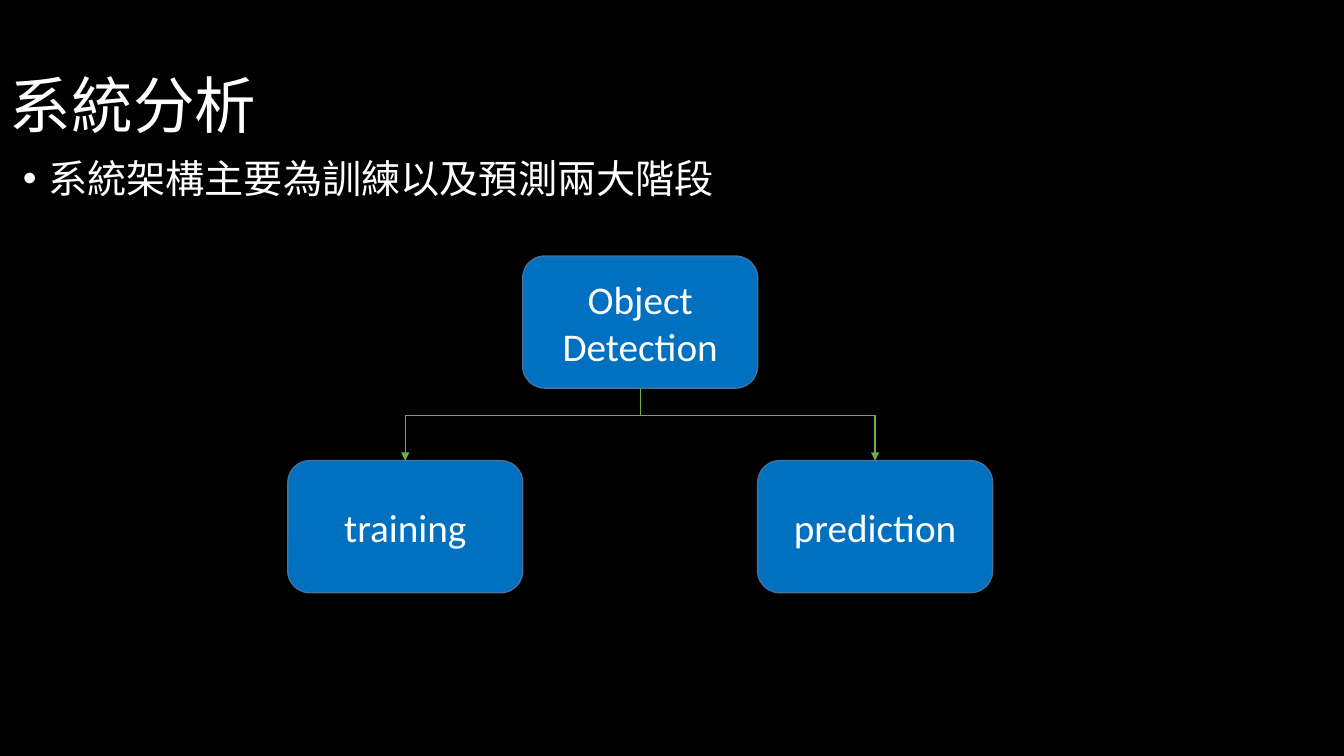
"""Build the system analysis slide with its detection hierarchy."""
from lxml import etree
from pptx import Presentation
from pptx.dml.color import RGBColor
from pptx.enum.shapes import MSO_CONNECTOR, MSO_SHAPE
from pptx.enum.text import MSO_ANCHOR, PP_ALIGN
from pptx.oxml.ns import qn
from pptx.util import Inches, Pt

ROUNDED = MSO_SHAPE.ROUNDED_RECTANGLE
STRAIGHT = MSO_CONNECTOR.STRAIGHT
MIDDLE, TOP = MSO_ANCHOR.MIDDLE, MSO_ANCHOR.TOP
CENTER = PP_ALIGN.CENTER

BLACK = RGBColor(0x00, 0x00, 0x00)
WHITE = RGBColor(0xFF, 0xFF, 0xFF)
BLUE = RGBColor(0x00, 0x70, 0xC0)
EDGE = RGBColor(0x43, 0x73, 0x9E)
GREEN = RGBColor(0x70, 0xAD, 0x47)
LATIN_FONT, CHINESE_FONT = "Calibri", "Noto Sans CJK SC"

TITLE = "系統分析"
SUMMARY = "系統架構主要為訓練以及預測兩大階段"
ROOT = "Object Detection"
STAGES = ["training", "prediction"]

NODE_WIDTH, NODE_HEIGHT = 2.33, 1.31
ROOT_CENTER, ROOT_TOP = 6.35, 2.54
BRANCH_Y, STAGE_TOP = 4.12, 4.57


def add_run(paragraph, text, size, font_name):
    run = paragraph.add_run()
    run.text = text
    run.font.size = Pt(size)
    run.font.color.rgb = WHITE
    run.font.name = font_name
    etree.SubElement(run.font._element, qn("a:ea"), typeface=font_name)


def add_heading(slide, box, text, size, anchor):
    frame = slide.shapes.add_textbox(*map(Inches, box)).text_frame
    frame.word_wrap = True
    frame.vertical_anchor = anchor
    paragraph = frame.paragraphs[0]
    paragraph.line_spacing = 0.9
    add_run(paragraph, text, size, CHINESE_FONT)
    return paragraph


def add_bullet(paragraph):
    properties = paragraph._p.get_or_add_pPr()
    properties.set("marL", str(Inches(0.25)))
    properties.set("indent", str(Inches(-0.25)))
    etree.SubElement(properties, qn("a:buFont"), typeface="Arial")
    etree.SubElement(properties, qn("a:buChar"), char="•")


def add_node(slide, text, center, top):
    box = (center - NODE_WIDTH / 2, top, NODE_WIDTH, NODE_HEIGHT)
    node = slide.shapes.add_shape(ROUNDED, *map(Inches, box))
    node.shadow.inherit = False
    node.fill.solid()
    node.fill.fore_color.rgb = BLUE
    node.line.color.rgb = EDGE
    node.line.width = Pt(1)
    node.text_frame.word_wrap = True
    node.text_frame.vertical_anchor = MIDDLE
    paragraph = node.text_frame.paragraphs[0]
    paragraph.alignment = CENTER
    add_run(paragraph, text, 28, LATIN_FONT)


def add_link(slide, start, end, arrow=False):
    link = slide.shapes.add_connector(STRAIGHT, *map(Inches, start + end))
    link.line.color.rgb = GREEN
    link.line.width = Pt(1)
    if arrow:
        etree.SubElement(link.line._get_or_add_ln(), qn("a:tailEnd"), type="triangle")
    etree.SubElement(link._element.spPr, qn("a:effectLst"))


def main():
    deck = Presentation()
    deck.slide_width, deck.slide_height = Inches(13.33), Inches(7.5)
    slide = deck.slides.add_slide(deck.slide_layouts[6])
    slide.background.fill.solid()
    slide.background.fill.fore_color.rgb = BLACK

    add_heading(slide, (0, 0.66, 3.41, 0.84), TITLE, 44, MIDDLE)
    add_bullet(add_heading(slide, (0.13, 1.53, 9.83, 0.45), SUMMARY, 28, TOP))

    add_node(slide, ROOT, ROOT_CENTER, ROOT_TOP)
    junction = (ROOT_CENTER, BRANCH_Y)
    add_link(slide, (ROOT_CENTER, ROOT_TOP + NODE_HEIGHT), junction)
    for stage, side in zip(STAGES, (-1, 1)):
        center = ROOT_CENTER + side * NODE_WIDTH
        corner = (center, BRANCH_Y)
        add_node(slide, stage, center, STAGE_TOP)
        add_link(slide, junction, corner)
        add_link(slide, corner, (center, STAGE_TOP), arrow=True)

    deck.save("out.pptx")


if __name__ == "__main__":
    main()
